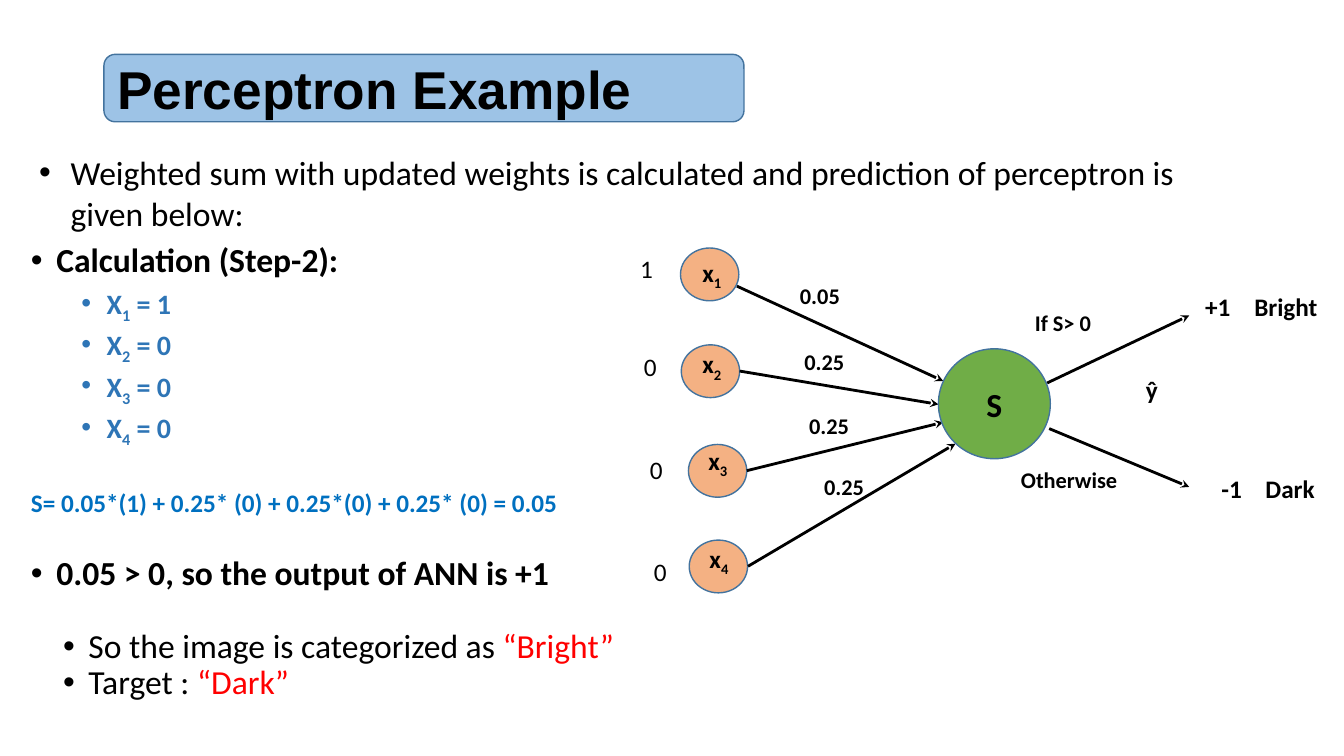
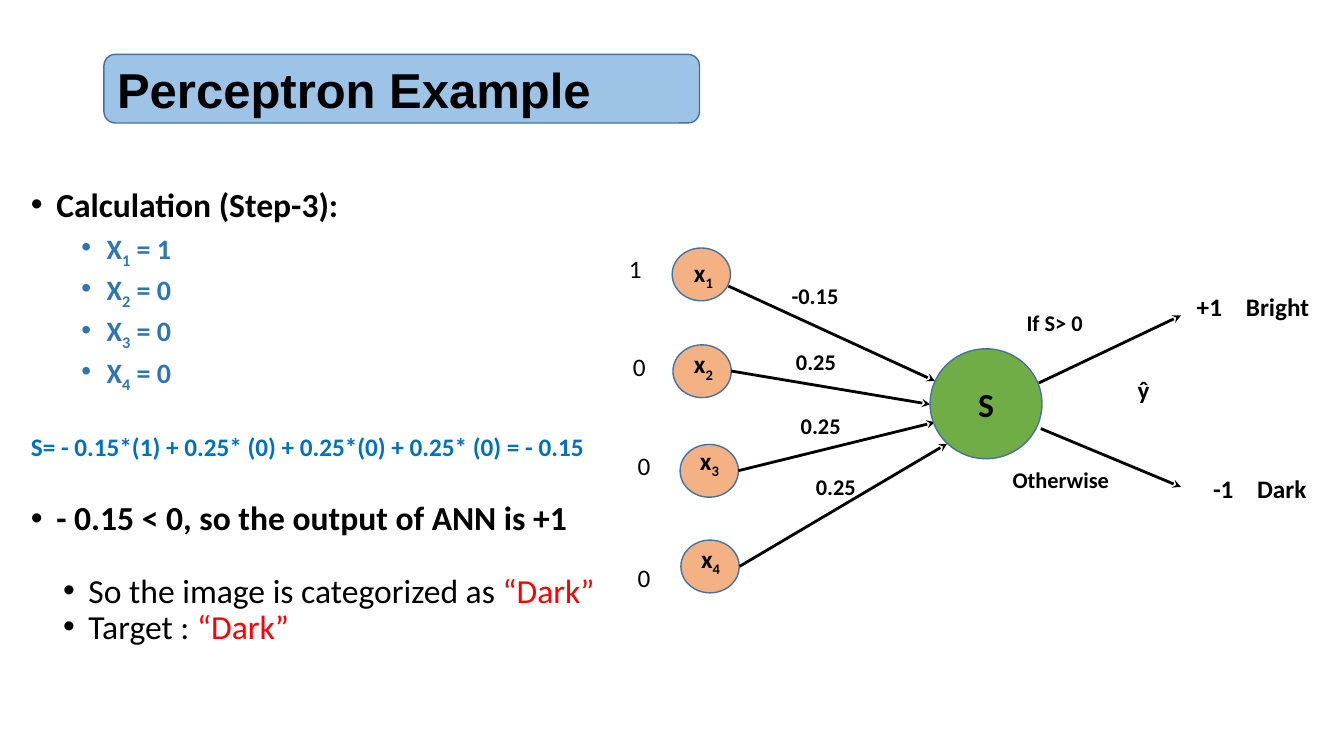
from lxml import etree
from pptx import Presentation
from pptx.dml.color import RGBColor
from pptx.enum.shapes import MSO_CONNECTOR, MSO_SHAPE
from pptx.enum.text import MSO_ANCHOR, MSO_AUTO_SIZE, PP_ALIGN
from pptx.oxml.ns import qn
from pptx.util import Cm, Pt

ROUND_RECT, OVAL = MSO_SHAPE.ROUNDED_RECTANGLE, MSO_SHAPE.OVAL
STRAIGHT = MSO_CONNECTOR.STRAIGHT
TOP, MIDDLE = MSO_ANCHOR.TOP, MSO_ANCHOR.MIDDLE
NO_FIT = MSO_AUTO_SIZE.NONE
LEFT, CENTER = PP_ALIGN.LEFT, PP_ALIGN.CENTER

BLACK = RGBColor(0x00, 0x00, 0x00)
RED = RGBColor(0xFF, 0x00, 0x00)
INPUT_BLUE = RGBColor(0x2E, 0x75, 0xB6)
SUM_BLUE = RGBColor(0x00, 0x70, 0xC0)
BAND_BLUE = RGBColor(0x9D, 0xC3, 0xE6)
OUTLINE = RGBColor(0x43, 0x73, 0x9E)
ORANGE = RGBColor(0xF4, 0xB1, 0x83)
GREEN = RGBColor(0x70, 0xAD, 0x47)

# Content of each slide; lengths in cm
TITLE = "Perceptron Example"
INPUTS = ["1", "0", "0", "0"]
SLIDES = [
    {
        "band": (16.13, 1.7), "title_size": 38,
        "intro": "Weighted sum with updated weights is calculated and "
                 "prediction of perceptron is given below:",
        "body_top": 6.02, "step": "Calculation (Step-2):",
        "sum": "S= 0.05*(1) + 0.25* (0) + 0.25*(0) + 0.25* (0) = 0.05",
        "result": "0.05 > 0, so the output of ANN is +1",
        "category": "“Bright”", "target": "“Dark”",
        "weights": ["0.05", "0.25", "0.25", "0.25"], "shift": 0,
        "values_at": [(15.88, 6.25), (15.98, 8.74), (16.13, 11.33), (16.23, 13.89)],
    },
    {
        "band": (15.01, 1.73), "title_size": 35,
        "intro": None,
        "body_top": 4.62, "step": "Calculation (Step-3):",
        "sum": "S= - 0.15*(1) + 0.25* (0) + 0.25*(0) + 0.25* (0) = - 0.15",
        "result": "- 0.15 < 0, so the output of ANN is +1",
        "category": "“Dark”", "target": "“Dark”",
        "weights": ["-0.15", "0.25", "0.25", "0.25"], "shift": -0.21,
        "values_at": [(15.6, 6.25), (15.7, 8.74), (15.82, 11.23), (15.82, 14.05)],
    },
]

# Network layout: node, node label, weight label, arrow start, arrow end
INPUT_NODES = [
    ((17.15, 6.25), (17.45, 6.35), (19.91, 6.99), (18.57, 7.21), (23.77, 9.6)),
    ((17.17, 8.69), (17.45, 8.66), (20.02, 8.66), (18.64, 9.35), (23.65, 10.19)),
    ((17.35, 11.2), (17.6, 11.1), (20.14, 10.26), (18.82, 11.86), (23.77, 10.64)),
    ((17.37, 13.61), (17.63, 13.56), (20.52, 11.79), (18.85, 14.27), (24.08, 11.18)),
]
OUTPUT_ARROWS = [((26.39, 9.65), (29.97, 7.95)), ((26.44, 10.8), (29.97, 12.27))]
# Text, left, top, width, size, tab stop
OUTPUT_LABELS = [
    ("ŷ", 28.63, 9.32, 1.32, 18, None),
    ("If S> 0", 25.83, 7.67, 2.64, 16, None),
    ("Otherwise", 25.48, 11.61, 3.07, 16, None),
    ("+1\tBright", 30.12, 7.21, 3.7, 18, 1.24),
    ("-1\tDark", 30.53, 11.79, 3.12, 18, 1.11),
]


def add_bullet(p, margin, hanging):
    pPr = p._p.get_or_add_pPr()
    pPr.set("marL", str(Cm(margin)))
    pPr.set("indent", str(-Cm(hanging)))
    etree.SubElement(pPr, qn("a:buFont")).set("typeface", "Arial")
    etree.SubElement(pPr, qn("a:buChar")).set("char", "•")


def add_tab(p, position):
    tabs = etree.SubElement(p._p.get_or_add_pPr(), qn("a:tabLst"))
    etree.SubElement(tabs, qn("a:tab"), pos=str(Cm(position)), algn="l")


def add_run(p, text, size, color=BLACK, bold=False, subscript=False, font="Calibri"):
    r = p.add_run()
    r.text = text
    r.font.name, r.font.size, r.font.bold = font, Pt(size), bold
    r.font.color.rgb = color
    if subscript:
        r.font._element.set("baseline", "-25000")


def add_box(s, left, top, width, height):
    tf = s.shapes.add_textbox(Cm(left), Cm(top), Cm(width), Cm(height)).text_frame
    tf.word_wrap = True
    return tf


def add_label(s, text, left, top, width, size=18, bold=True, tab=None, index=None):
    p = add_box(s, left, top, width, 1.02 if size == 18 else 0.94).paragraphs[0]
    if tab:
        add_tab(p, tab)
    add_run(p, text, size, bold=bold)
    if index:
        add_run(p, str(index), size, bold=bold, subscript=True)


def add_shape(s, kind, left, top, width, height, fill):
    sp = s.shapes.add_shape(kind, Cm(left), Cm(top), Cm(width), Cm(height))
    sp.shadow.inherit = False
    sp.fill.solid()
    sp.fill.fore_color.rgb = fill
    sp.line.color.rgb = OUTLINE
    sp.line.width = Pt(1)
    return sp


def add_arrow(s, start, end, shift):
    (x1, y1), (x2, y2) = start, end
    line = s.shapes.add_connector(STRAIGHT, Cm(x1 + shift), Cm(y1), Cm(x2 + shift), Cm(y2))
    line.line.color.rgb = BLACK
    line.line.width = Pt(2)
    etree.SubElement(line.line._get_or_add_ln(), qn("a:tailEnd")).set("type", "stealth")
    etree.SubElement(line._element.spPr, qn("a:effectLst"))


def add_title(s, data):
    left, top, (width, height) = 2.62, 1.37, data["band"]
    add_shape(s, ROUND_RECT, left, top, width, height, BAND_BLUE)
    title = s.shapes.title
    s.shapes._spTree.append(title._element)  # title in front of its band
    title.left, title.top = Cm(left), Cm(top)
    title.width, title.height = Cm(width), Cm(height)
    tf = title.text_frame
    tf.auto_size, tf.vertical_anchor = NO_FIT, MIDDLE
    tf.margin_left = Cm(0.33)
    tf.paragraphs[0].alignment = LEFT
    add_run(tf.paragraphs[0], TITLE, data["title_size"], bold=True, font="Arial")


def add_calculation(s, data):
    # Each row: space before, (margin, hanging) of the bullet, size, bold, runs
    rows = [(0, (0.64, 0.64), 24, True, [(data["step"], BLACK)])]
    for i, value in enumerate(INPUTS, 1):
        rows.append((5, (1.91, 0.64), 20, True, [
            ("X", INPUT_BLUE), (str(i), INPUT_BLUE, True), (f" = {value}", INPUT_BLUE)]))
    rows += [
        (32, None, 18, True, [(data["sum"], SUM_BLUE)]),
        (28, (0.64, 0.64), 24, True, [(data["result"], BLACK)]),
        (26, (1.45, 0.64), 24, False,
         [("So the image is categorized as ", BLACK), (data["category"], RED)]),
        (0, (1.45, 0.64), 24, False, [("Target : ", BLACK), (data["target"], RED)]),
    ]
    tf = add_box(s, 0.53, data["body_top"], 15.29, 12.7)
    for n, (before, bullet, size, bold, runs) in enumerate(rows):
        p = tf.add_paragraph() if n else tf.paragraphs[0]
        if bullet:
            add_bullet(p, *bullet)
        p.line_spacing, p.space_before = 0.9, Pt(before)
        for text, color, *subscript in runs:
            add_run(p, text, size, color, bold, bool(subscript))


def add_network(s, data):
    dx = data["shift"]
    # Input side
    for i, (node, name, weight, start, end) in enumerate(INPUT_NODES):
        add_shape(s, OVAL, node[0] + dx, node[1], 1.47, 1.33, ORANGE)
        add_label(s, "x", name[0] + dx, name[1], 1.32, index=i + 1)
        add_arrow(s, start, end, dx)
        add_label(s, data["weights"][i], weight[0] + dx, weight[1], 1.8, 16)
        add_label(s, INPUTS[i], *data["values_at"][i], 1.2, bold=False)
    # Summing node
    tf = add_shape(s, OVAL, 23.65 + dx, 8.79, 2.82, 2.77, GREEN).text_frame
    tf.vertical_anchor = MIDDLE
    tf.paragraphs[0].alignment = CENTER
    add_run(tf.paragraphs[0], "S", 24, bold=True)
    # Output side
    for start, end in OUTPUT_ARROWS:
        add_arrow(s, start, end, dx)
    for text, left, top, width, size, tab in OUTPUT_LABELS:
        add_label(s, text, left + dx, top, width, size, tab=tab)


def main():
    prs = Presentation()
    prs.slide_width, prs.slide_height = Cm(33.87), Cm(19.05)
    title_only = prs.slide_layouts[5]
    for data in SLIDES:
        s = prs.slides.add_slide(title_only)
        add_title(s, data)
        if data["intro"]:
            p = add_box(s, 0.74, 3.71, 30.66, 2.31).paragraphs[0]
            add_bullet(p, 0.79, 0.79)
            add_run(p, data["intro"], 24)
        add_calculation(s, data)
        add_network(s, data)
    prs.save("out.pptx")


if __name__ == "__main__":
    main()
